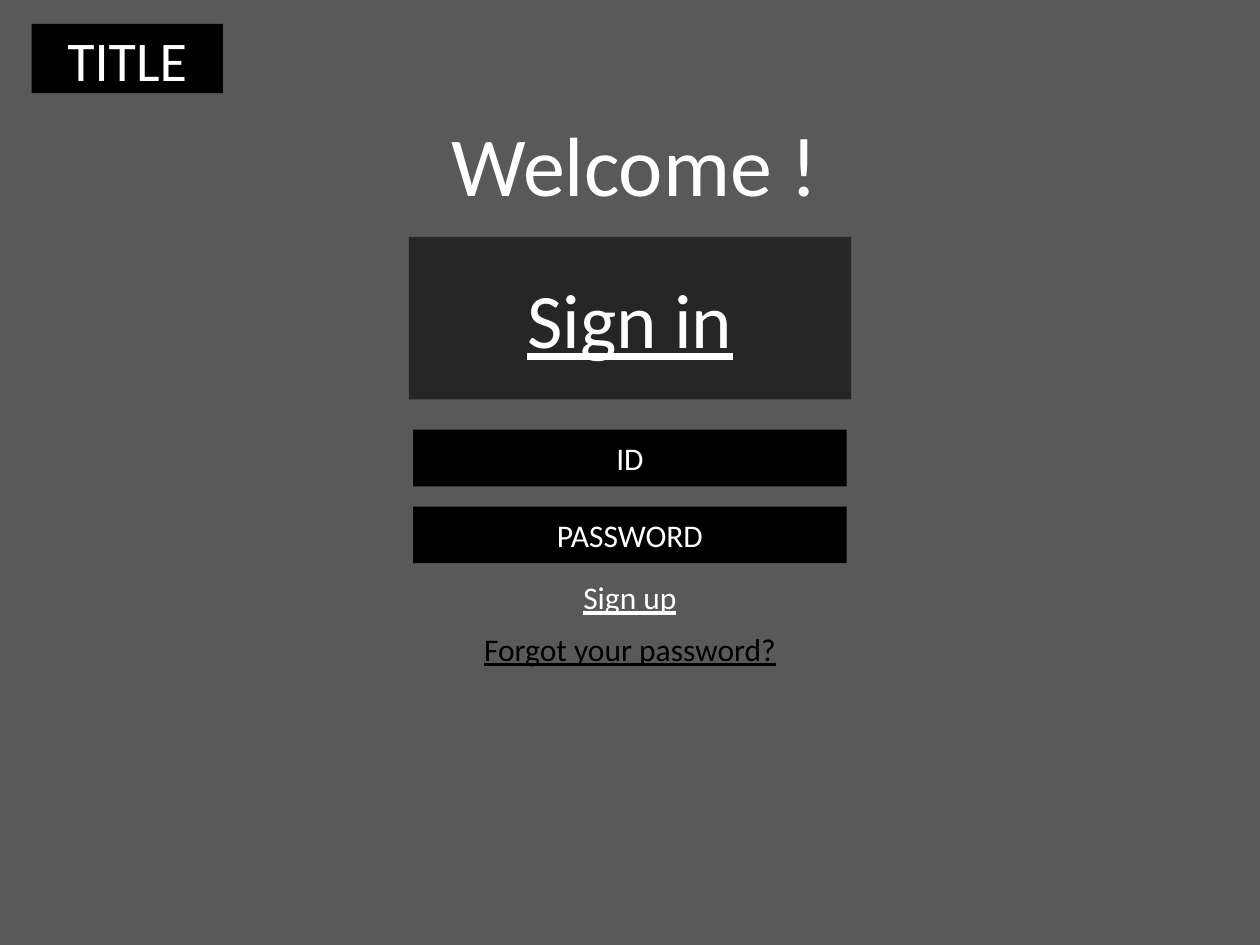
"""Builds a sign-in screen slide."""
from dataclasses import dataclass

from pptx import Presentation
from pptx.dml.color import RGBColor
from pptx.enum.shapes import MSO_SHAPE
from pptx.enum.text import MSO_ANCHOR, MSO_AUTO_SIZE, PP_ALIGN
from pptx.util import Inches, Pt


@dataclass(frozen=True)
class Theme:
    font: str = "Calibri"
    page: str = "595959"
    panel: str = "262626"
    dark: str = "000000"
    light: str = "FFFFFF"
    body: int = 18
    title: int = 32
    action: int = 44
    welcome: int = 48


THEME = Theme()
WIDTH, HEIGHT = 10, 7.5
FIELD_TOP, FIELD_STEP, FIELD_SIZE = 3.41, 0.61, (3.44, 0.45)
LINK_TOP, LINK_STEP, LINK_HEIGHT = 4.54, 0.41, 0.4

FIELDS = ["ID", "PASSWORD"]
LINKS = [("Sign up", 1.05, THEME.light), ("Forgot your password?", 2.74, THEME.dark)]


def centred(width):
    return (WIDTH - width) / 2


def write(shape, text, size, color, underline=False):
    frame = shape.text_frame
    para = frame.paragraphs[0]
    para.alignment = PP_ALIGN.CENTER
    span = para.add_run()
    span.text = text
    font = span.font
    font.name, font.size = THEME.font, Pt(size)
    font.color.rgb = RGBColor.from_string(color)
    if underline:
        font.underline = True
    return frame


def add_block(shapes, area, fill, text, size, underline=False):
    block = shapes.add_shape(MSO_SHAPE.RECTANGLE, *map(Inches, area))
    block.shadow.inherit = False
    block.fill.solid()
    block.fill.fore_color.rgb = RGBColor.from_string(fill)
    block.line.fill.background()
    frame = write(block, text, size, THEME.light, underline)
    frame.vertical_anchor = MSO_ANCHOR.MIDDLE


def add_label(shapes, area, text, size, color, underline=False):
    box = shapes.add_textbox(*map(Inches, area))
    frame = write(box, text, size, color, underline)
    frame.word_wrap = False
    frame.auto_size = MSO_AUTO_SIZE.SHAPE_TO_FIT_TEXT


deck = Presentation()
deck.slide_width, deck.slide_height = Inches(WIDTH), Inches(HEIGHT)
page = deck.slides.add_slide(deck.slide_layouts[6])
page.background.fill.solid()
page.background.fill.fore_color.rgb = RGBColor.from_string(THEME.page)

add_block(page.shapes, (0.25, 0.19, 1.52, 0.55), THEME.dark, "TITLE", THEME.title)
add_block(page.shapes, (centred(3.51), 1.88, 3.51, 1.29), THEME.panel,
          "Sign in", THEME.action, True)

form = page.shapes.add_group_shape()
field_width, field_height = FIELD_SIZE
for row, name in enumerate(FIELDS):
    area = (centred(field_width), FIELD_TOP + row * FIELD_STEP, field_width, field_height)
    add_block(form.shapes, area, THEME.dark, name, THEME.body)

add_label(page.shapes, (3.43, 0.84, 3.22, 0.91), "Welcome !", THEME.welcome, THEME.light)
for row, (text, width, color) in enumerate(LINKS):
    area = (centred(width), LINK_TOP + row * LINK_STEP, width, LINK_HEIGHT)
    add_label(page.shapes, area, text, THEME.body, color, True)

deck.save("out.pptx")
